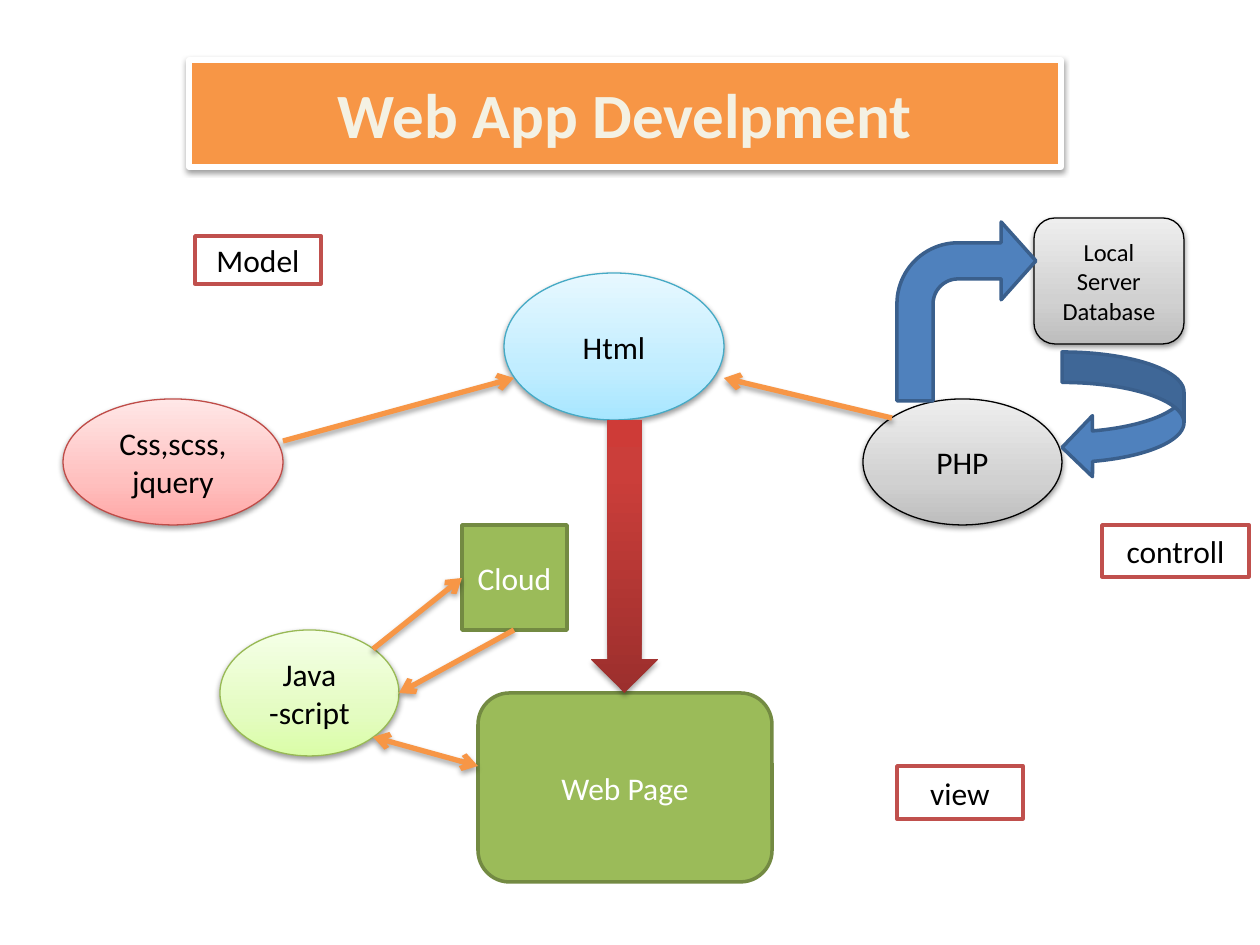
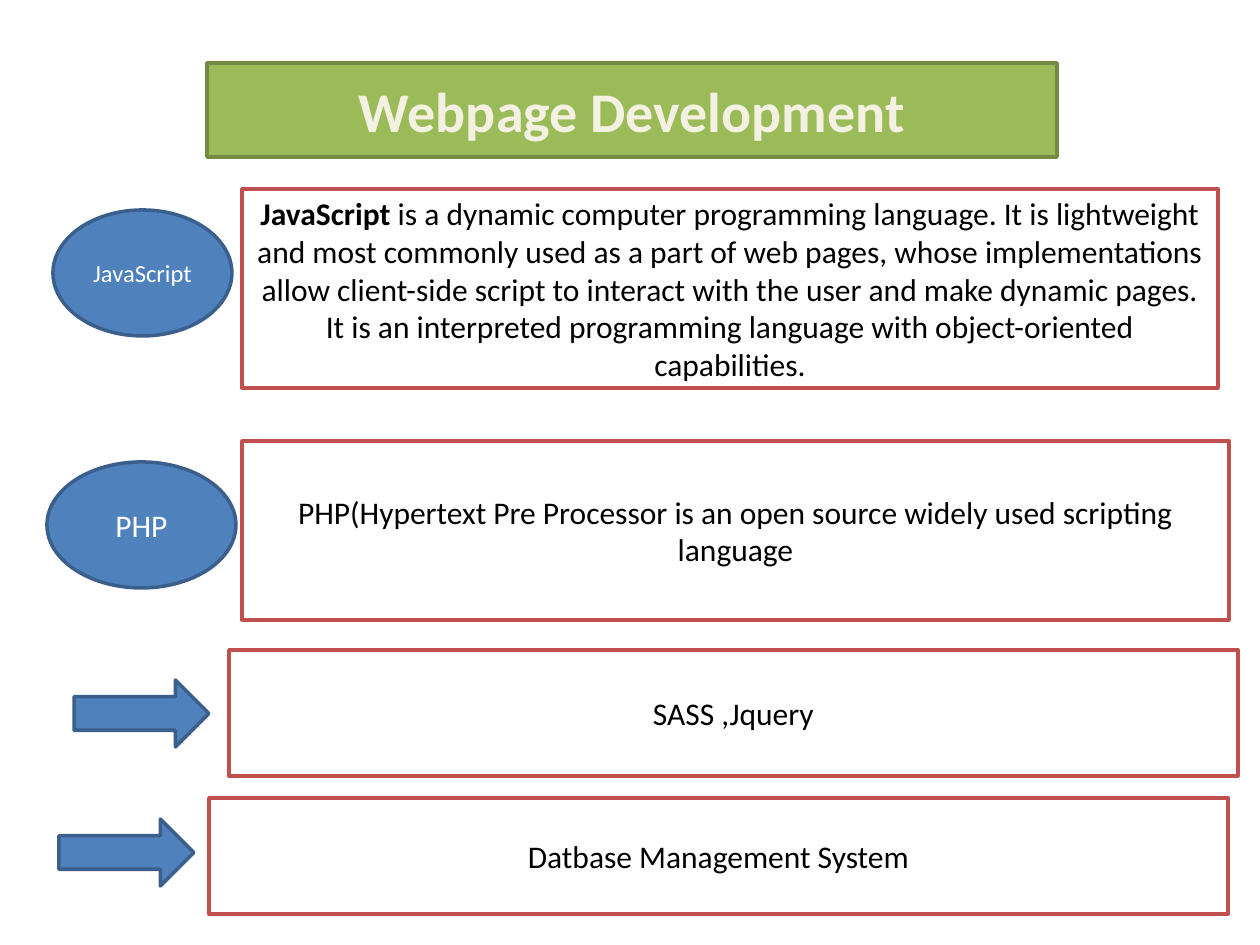
import dataclasses

import lxml.etree
import pptx
import pptx.dml.color
import pptx.enum.shapes
import pptx.enum.text
import pptx.oxml.ns
import pptx.util

SHAPE = pptx.enum.shapes.MSO_SHAPE
qn = pptx.oxml.ns.qn


@dataclasses.dataclass(frozen=True)
class Theme:
    font: str = "Calibri"
    black: str = "000000"
    white: str = "FFFFFF"
    cream: str = "F4F1E3"
    orange: str = "F79646"
    blue: tuple = ("4F81BD", "3A5F8C")
    green: tuple = ("9BBB59", "738A42")
    framed: tuple = ("FFFFFF", "C0504D")
    sky: tuple = (("A7E6FF", "C1EDFF", "E7F8FF"), "46AAC5")
    rose: tuple = (("FFA6A5", "FFC0BF", "FFE7E7"), "BF4C48")
    silver: tuple = (("BDBDBD", "D1D1D1", "EEEEEE"), "000000")
    lime: tuple = (("DAFDA7", "E4FCC2", "F5FFE7"), "98B955")
    crimson: tuple = (("9C2F2D", "CB3E3A", "CE3B37"), None)
    thin: float = 0.75
    medium: float = 2
    thick: float = 3
    small: int = 14
    normal: int = 18
    heading: int = 32
    banner: int = 36


class Painter:
    """Draws styled elements on the current slide, in px."""

    def __init__(self, theme):
        self.theme = theme
        self.scale = pptx.util.Inches(1) / 126
        self.deck = pptx.Presentation()
        self.deck.slide_width, self.deck.slide_height = self.emu(1260, 945)
        self.page = None

    def emu(self, *lengths):
        return [round(length * self.scale) for length in lengths]

    def color(self, value):
        return pptx.dml.color.RGBColor.from_string(value)

    def new_page(self):
        self.page = self.deck.slides.add_slide(self.deck.slide_layouts[5])

    def shadow(self, properties, opacity, distance):
        effects = properties.find(qn("a:effectLst"))
        if effects is None:
            effects = lxml.etree.SubElement(properties, qn("a:effectLst"))
        outer = lxml.etree.SubElement(
            effects, qn("a:outerShdw"), blurRad="40000", dist=str(distance),
            dir="5400000", rotWithShape="0")
        black = lxml.etree.SubElement(outer, qn("a:srgbClr"), val=self.theme.black)
        lxml.etree.SubElement(black, qn("a:alpha"), val=str(opacity * 1000))

    def gradient(self, box, colors, middle):
        box.fill.gradient()
        box.fill.gradient_angle = 90
        stops = box._element.spPr.find(qn("a:gradFill")).find(qn("a:gsLst"))
        for stop in list(stops):
            stops.remove(stop)
        for position, value in zip((0, middle, 100), colors):
            stop = lxml.etree.SubElement(stops, qn("a:gs"), pos=str(position * 1000))
            lxml.etree.SubElement(stop, qn("a:srgbClr"), val=value)

    def outline(self, line, value, width):
        line.color.rgb = self.color(value)
        line.width = pptx.util.Pt(width)

    def paint(self, box, fill, edge, width):
        box.shadow.inherit = False
        box.fill.solid()
        box.fill.fore_color.rgb = self.color(fill)
        self.outline(box.line, edge, width)

    def span(self, para, text, size, color, bold=False):
        span = para.add_run()
        span.text = text
        span.font.name = self.theme.font
        span.font.size = pptx.util.Pt(size)
        span.font.bold = bold
        span.font.color.rgb = self.color(color)

    def label(self, box, text, size, color, lead=""):
        frame = box.text_frame
        frame.word_wrap = True
        frame.vertical_anchor = pptx.enum.text.MSO_ANCHOR.MIDDLE
        for index, line in enumerate(text.split("\n")):
            para = frame.add_paragraph() if index else frame.paragraphs[0]
            para.alignment = pptx.enum.text.PP_ALIGN.CENTER
            if lead and not index:
                self.span(para, lead, size, color, True)
            if line:
                self.span(para, line, size, color)

    def title(self, place, text, size, fill, edge, width):
        box = self.page.shapes.title
        box.left, box.top, box.width, box.height = self.emu(*place)
        self.paint(box, fill, edge, width)
        self.label(box, "", size, self.theme.cream, lead=text)
        box.text_frame.auto_size = pptx.enum.text.MSO_AUTO_SIZE.NONE
        return box

    def flat(self, kind, place, look, text="", size=None, color=None, lead=""):
        box = self.page.shapes.add_shape(kind, *self.emu(*place))
        self.paint(box, *look, self.theme.medium)
        if text:
            self.label(box, text, size or self.theme.normal,
                       color or self.theme.white, lead)
        return box

    def frame(self, place, text, lead=""):
        self.flat(SHAPE.RECTANGLE, place, self.theme.framed, text,
                  color=self.theme.black, lead=lead)

    def glossy(self, kind, place, look, text="", size=None):
        box = self.page.shapes.add_shape(kind, *self.emu(*place))
        colors, edge = look
        box.shadow.inherit = False
        self.gradient(box, colors, 35 if edge else 80)
        if edge:
            self.outline(box.line, edge, self.theme.thin)
            self.shadow(box._element.spPr, 38, 20000)
        else:
            box.line.fill.background()
            self.shadow(box._element.spPr, 35, 23000)
        if text:
            self.label(box, text, size or self.theme.normal, self.theme.black)

    def arrow(self, start, end, ends=("tailEnd",)):
        link = self.page.shapes.add_connector(
            pptx.enum.shapes.MSO_CONNECTOR.STRAIGHT, *self.emu(*start, *end))
        self.outline(link.line, self.theme.orange, self.theme.thick)
        line = link._element.spPr.find(qn("a:ln"))
        for name in ends:
            lxml.etree.SubElement(line, qn("a:" + name), type="arrow")
        self.shadow(link._element.spPr, 35, 23000)


def draw_architecture(painter):
    theme = painter.theme
    painter.new_page()
    banner = painter.title((189, 60, 872, 107), "Web App Develpment", theme.banner,
                           theme.orange, theme.white, theme.thick)
    painter.shadow(banner._element.spPr, 38, 20000)

    for place, look, text in (
        ((504, 273, 220, 147), theme.sky, "Html"),
        ((63, 399, 220, 126), theme.rose, "Css,scss,\njquery"),
        ((863, 399, 199, 126), theme.silver, "PHP"),
        ((220, 630, 179, 126), theme.lime, "Java\n-script"),
    ):
        painter.glossy(SHAPE.OVAL, place, look, text)
    painter.glossy(SHAPE.ROUNDED_RECTANGLE, (1034, 218, 150, 126), theme.silver,
                   "Local\nServer\nDatabase", theme.small)

    to_database = painter.flat(SHAPE.BENT_ARROW, (897, 222, 139, 179), theme.blue)
    for index, value in enumerate((0.26, 0.28, 0.25, 0.44)):
        to_database.adjustments[index] = value
    painter.flat(SHAPE.CURVED_LEFT_ARROW, (1062, 352, 122, 126), theme.blue)
    painter.flat(SHAPE.ROUNDED_RECTANGLE, (478, 693, 294, 189), theme.green, "Web Page")
    painter.flat(SHAPE.RECTANGLE, (462, 525, 105, 105), theme.green, "Cloud")

    for place, text in (
        ((195, 236, 126, 48), "Model"),
        ((1102, 525, 147, 52), "controll"),
        ((897, 766, 126, 53), "view"),
    ):
        painter.frame(place, text)

    for start, end in (
        ((373, 649), (462, 578)),
        ((514, 630), (399, 693)),
        ((283, 441), (514, 378)),
        ((892, 418), (724, 378)),
    ):
        painter.arrow(start, end)
    painter.arrow((373, 737), (478, 766), ("headEnd", "tailEnd"))
    painter.glossy(SHAPE.DOWN_ARROW, (591, 420, 67, 273), theme.crimson)


def draw_languages(painter):
    theme = painter.theme
    painter.new_page()
    painter.title((207, 63, 850, 94), "Webpage Development", theme.heading,
                  *theme.green, theme.medium)
    painter.flat(SHAPE.OVAL, (53, 210, 179, 126), theme.blue, "JavaScript", theme.small)
    painter.flat(SHAPE.OVAL, (47, 462, 189, 126), theme.blue, "PHP")
    for left, top in ((74, 680), (59, 819)):
        painter.flat(SHAPE.RIGHT_ARROW, (left, top, 135, 67), theme.blue)

    painter.frame(
        (242, 189, 976, 199),
        " is a dynamic computer programming language. It is lightweight and most "
        "commonly used as a part of web pages, whose implementations allow "
        "client-side script to interact with the user and make dynamic pages. "
        "It is an interpreted programming language with object-oriented capabilities.",
        lead="JavaScript")
    for place, text in (
        ((242, 441, 987, 179), "PHP(Hypertext Pre Processor is an open source "
                               "widely used scripting language"),
        ((229, 650, 1009, 126), "SASS ,Jquery"),
        ((209, 798, 1019, 116), "Datbase Management System"),
    ):
        painter.frame(place, text)


def main():
    painter = Painter(Theme())
    draw_architecture(painter)
    draw_languages(painter)
    painter.deck.save("out.pptx")


if __name__ == "__main__":
    main()
